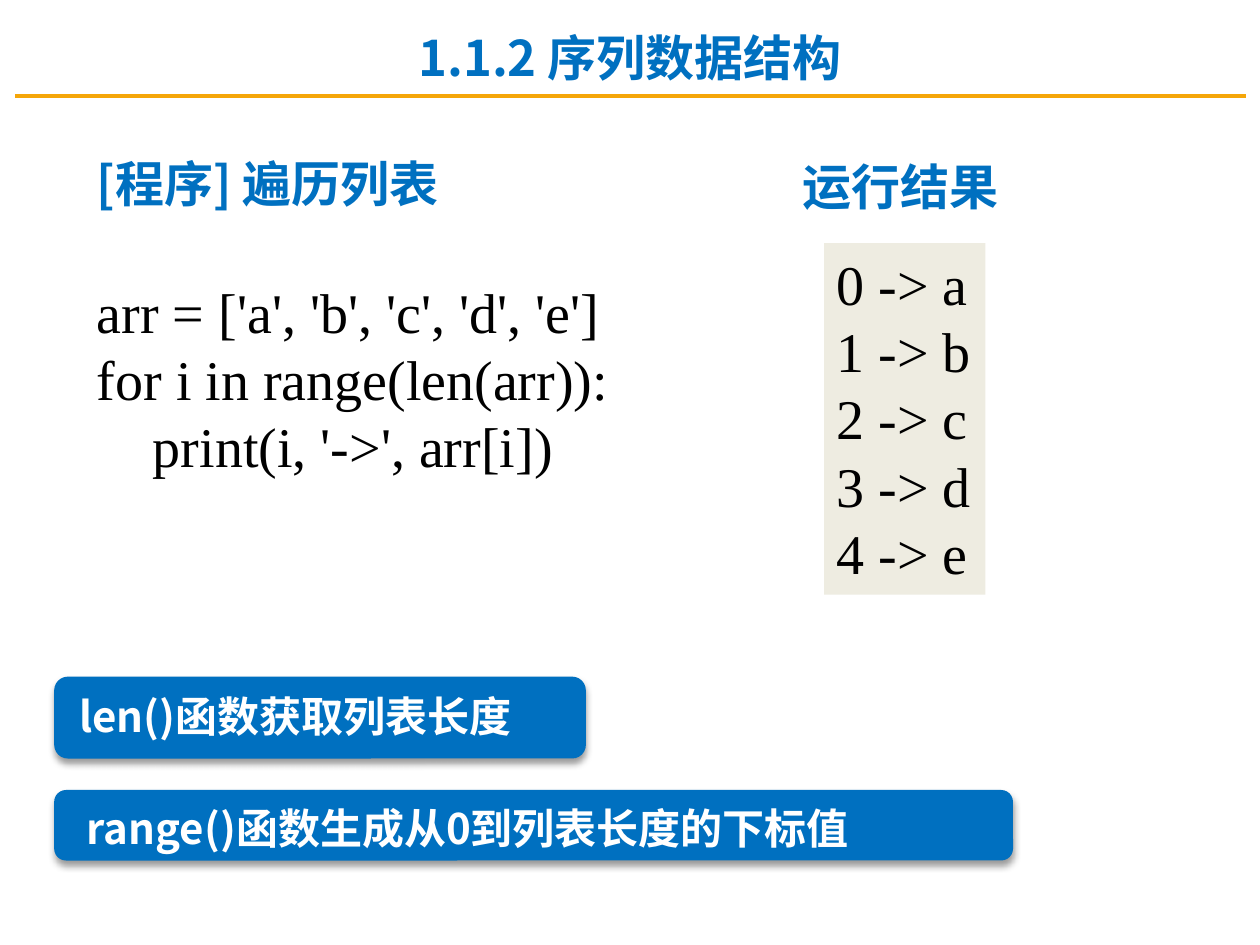
from lxml import etree
from pptx import Presentation
from pptx import util as u
from pptx.dml.color import RGBColor
from pptx.enum import shapes, text
from pptx.oxml import parse_xml
from pptx.oxml.ns import nsdecls, qn

SANS, SERIF = "Noto Sans CJK SC", "Times New Roman"
BLUE, ORANGE, BEIGE, BLACK, WHITE = "0070C0", "F5A609", "EEECE1", "000000", "FFFFFF"


def color(target, value):
    """Colour a font, or fill a shape or line with one solid colour."""
    if hasattr(target, "solid"):
        target.solid()
        target.fore_color.rgb = RGBColor.from_string(value)
    else:
        target.color.rgb = RGBColor.from_string(value)


def write(box, lines, size=28, font=SANS, ink=BLUE, bold=True, wrap=True,
          align=text.PP_ALIGN.LEFT, anchor=text.MSO_ANCHOR.TOP, inset=(0.1, 0.05)):
    frame = box.text_frame
    frame.word_wrap = wrap
    frame.auto_size = text.MSO_AUTO_SIZE.NONE
    frame.vertical_anchor = anchor
    frame.margin_left = frame.margin_right = u.Inches(inset[0])
    frame.margin_top = frame.margin_bottom = u.Inches(inset[1])
    for number, line in enumerate(lines):
        para = frame.add_paragraph() if number else frame.paragraphs[0]
        para.alignment = align
        span = para.add_run()
        span.text = line
        span.font.size, span.font.name, span.font.bold = u.Pt(size), font, bold
        color(span.font, ink)
        etree.SubElement(span.font._element, qn("a:ea")).set("typeface", font)


deck = Presentation()
deck.slide_width, deck.slide_height = u.Inches(10), u.Inches(7.5)
page = deck.slides.add_slide(deck.slide_layouts[5])

# Title and the rule under it
title = page.shapes.title
title.left, title.top = 0, u.Inches(0.17)
title.width, title.height = deck.slide_width, u.Inches(0.57)
write(title, ["1.1.2 序列数据结构"], align=text.PP_ALIGN.CENTER)

rule = page.shapes.add_connector(shapes.MSO_CONNECTOR.STRAIGHT, u.Inches(0.12),
                                 u.Inches(0.76), u.Inches(9.89), u.Inches(0.76))
color(rule.line, ORANGE)
rule.line.width = u.Pt(2)
etree.SubElement(rule._element.spPr, qn("a:effectLst"))

# Program output
output = page.shapes.add_shape(shapes.MSO_SHAPE.RECTANGLE, *map(u.Inches, (6.54, 1.93, 1.28, 2.79)))
output.shadow.inherit = False
color(output.fill, BEIGE)
output.line.fill.background()
write(output, [f"{index} -> {letter}" for index, letter in enumerate("abcde")],
      size=32, font=SERIF, ink=BLACK, bold=False, wrap=False)

# Program code
code = page.shapes.add_textbox(*map(u.Inches, (0.67, 2.14, 4.88, 1.72)))
write(code, ["arr = ['a', 'b', 'c', 'd', 'e']",
             "for i in range(len(arr)):",
             "    print(i, '->', arr[i])"],
      size=32, font=SERIF, ink=BLACK, bold=False, anchor=text.MSO_ANCHOR.MIDDLE)

# Column headings
for heading, left, top, width, wrap in [("[程序] 遍历列表", 0.67, 1.17, 2.98, True),
                                        ("运行结果", 6.27, 1.19, 1.77, False)]:
    box = page.shapes.add_textbox(*map(u.Inches, (left, top, width, 0.57)))
    write(box, [heading], wrap=wrap)

# Notes on the two functions: a shadowed bar with its label
SHADOW = (f'<a:effectLst {nsdecls("a")}><a:outerShdw blurRad="50800" dist="38100" dir="5400000" '
          'algn="t" rotWithShape="0"><a:srgbClr val="000000"><a:alpha val="40000"/></a:srgbClr>'
          '</a:outerShdw></a:effectLst>')
for note, bar_area, label_area in [
    ("len()函数获取列表长度", (0.43, 5.37, 4.22, 0.65), (0.5, 5.41, 4.15, 0.47)),
    ("range()函数生成从0到列表长度的下标值", (0.43, 6.27, 7.61, 0.56), (0.56, 6.3, 7.49, 0.54)),
]:
    group = page.shapes.add_group_shape()
    bar = group.shapes.add_shape(shapes.MSO_SHAPE.ROUNDED_RECTANGLE, *map(u.Inches, bar_area))
    color(bar.fill, BLUE)
    bar.line.fill.background()
    bar._element.spPr.append(parse_xml(SHADOW))
    label = group.shapes.add_textbox(*map(u.Inches, label_area))
    write(label, [note], size=24, ink=WHITE, inset=(0.13, 0.07))

deck.save("out.pptx")
